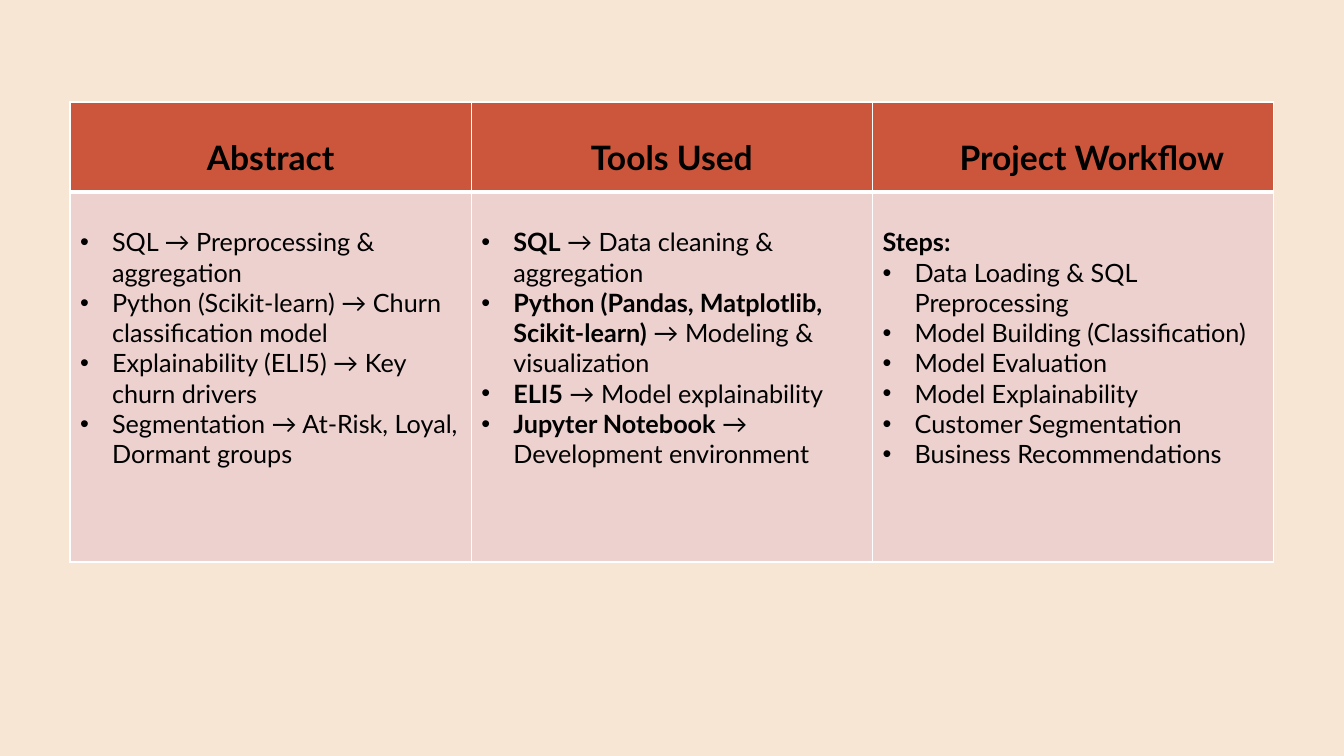
"""Builds a slide with a three-column project overview table."""
from dataclasses import dataclass

from lxml import etree
from pptx import Presentation
from pptx.dml.color import RGBColor
from pptx.enum.text import PP_ALIGN
from pptx.oxml.ns import qn
from pptx.util import Pt

CENTER, LEFT = PP_ALIGN.CENTER, PP_ALIGN.LEFT
SLIDE_W, SLIDE_H = 1344, 756
EMU_PER_PX = 12192000 / SLIDE_W


@dataclass(frozen=True)
class Theme:
    """Colours, font and type sizes of the slide."""
    background: str = "F7E6D3"
    header_fill: str = "CC563B"
    body_fill: str = "ECD1CE"
    border: str = "FFFFFF"
    text: str = "000000"
    font: str = "Lato"
    header_size: int = 24
    body_size: int = 18
    thin: int = 1
    thick: int = 3


THEME = Theme()
TABLE_BOX = (70, 102, 1204, 460)
HEADER_H = 90
TOP_MARGIN = 35
BULLET_INDENT = 32

# Each column: heading, heading alignment, heading left margin, lead line,
# and bullets as (bold part, regular part).
COLUMNS = [
    ("Abstract", CENTER, 10, None, [
        ("", "SQL → Preprocessing & aggregation"),
        ("", "Python (Scikit-learn) → Churn classification model"),
        ("", "Explainability (ELI5) → Key churn drivers"),
        ("", "Segmentation → At-Risk, Loyal, Dormant groups"),
    ]),
    ("Tools Used", CENTER, 10, None, [
        ("SQL", " → Data cleaning & aggregation"),
        ("Python (Pandas, Matplotlib, Scikit-learn)", " → Modeling & visualization"),
        ("ELI5", " → Model explainability"),
        ("Jupyter Notebook", " → Development environment"),
    ]),
    ("Project Workflow", LEFT, 87, "Steps:", [
        ("", "Data Loading & SQL Preprocessing"),
        ("", "Model Building (Classification)"),
        ("", "Model Evaluation"),
        ("", "Model Explainability"),
        ("", "Customer Segmentation"),
        ("", "Business Recommendations"),
    ]),
]


def px(length):
    """Turn px into EMU."""
    return round(length * EMU_PER_PX)


def style_cell(cell, fill, top, bottom):
    """Set the borders, fill and top margin of a cell."""
    properties = cell._tc.get_or_add_tcPr()
    for side, width in (("L", THEME.thin), ("R", THEME.thin), ("T", top), ("B", bottom)):
        line = etree.SubElement(properties, qn(f"a:ln{side}"), w=str(Pt(width)))
        solid = etree.SubElement(line, qn("a:solidFill"))
        etree.SubElement(solid, qn("a:srgbClr"), val=THEME.border)
    cell.fill.solid()
    cell.fill.fore_color.rgb = RGBColor.from_string(fill)
    cell.margin_top = px(TOP_MARGIN)


def set_font(font, size):
    """Apply the theme's font, colour and a type size."""
    font.name = THEME.font
    font.size = Pt(size)
    font.color.rgb = RGBColor.from_string(THEME.text)


def add_bullet(paragraph):
    """Give a paragraph a round bullet with a hanging indent."""
    properties = paragraph._p.get_or_add_pPr()
    properties.set("marL", str(px(BULLET_INDENT)))
    properties.set("indent", str(-px(BULLET_INDENT)))
    etree.SubElement(properties, qn("a:buFont"), typeface="Arial")
    etree.SubElement(properties, qn("a:buChar"), char="•")


def fill_header(cell, heading, alignment, left_margin):
    """Write a column heading."""
    style_cell(cell, THEME.header_fill, THEME.thin, THEME.thick)
    cell.margin_left = px(left_margin)
    paragraph = cell.text_frame.paragraphs[0]
    paragraph.text = heading
    paragraph.alignment = alignment
    set_font(paragraph.font, THEME.header_size)
    paragraph.font.bold = True


def fill_body(cell, lead, bullets):
    """Write an optional bold lead line and the bullets below it."""
    style_cell(cell, THEME.body_fill, THEME.thick, THEME.thin)
    lines = [(lead, "", False)] if lead else []
    lines += [(bold, regular, True) for bold, regular in bullets]
    for index, (bold, regular, bulleted) in enumerate(lines):
        frame = cell.text_frame
        paragraph = frame.add_paragraph() if index else frame.paragraphs[0]
        if bulleted:
            add_bullet(paragraph)
        set_font(paragraph.font, THEME.body_size)
        for words, is_bold in ((bold, True), (regular, False)):
            if words:
                run = paragraph.add_run()
                run.text = words
                run.font.bold = is_bold


def add_overview(slide, box):
    """Place the overview table in the given box."""
    left, top, width, height = box
    table = slide.shapes.add_table(
        2, len(COLUMNS), px(left), px(top), px(width), px(height)).table
    table.horz_banding = False
    table.rows[0].height = px(HEADER_H)
    table.rows[1].height = px(height - HEADER_H)
    for index, (heading, alignment, left_margin, lead, bullets) in enumerate(COLUMNS):
        table.columns[index].width = px(width / len(COLUMNS))
        fill_header(table.cell(0, index), heading, alignment, left_margin)
        fill_body(table.cell(1, index), lead, bullets)


def main():
    """Build and save the presentation."""
    deck = Presentation()
    deck.slide_width, deck.slide_height = px(SLIDE_W), px(SLIDE_H)
    slide = deck.slides.add_slide(deck.slide_layouts.get_by_name("Blank"))
    slide.background.fill.solid()
    slide.background.fill.fore_color.rgb = RGBColor.from_string(THEME.background)
    add_overview(slide, TABLE_BOX)
    deck.save("out.pptx")


if __name__ == "__main__":
    main()
